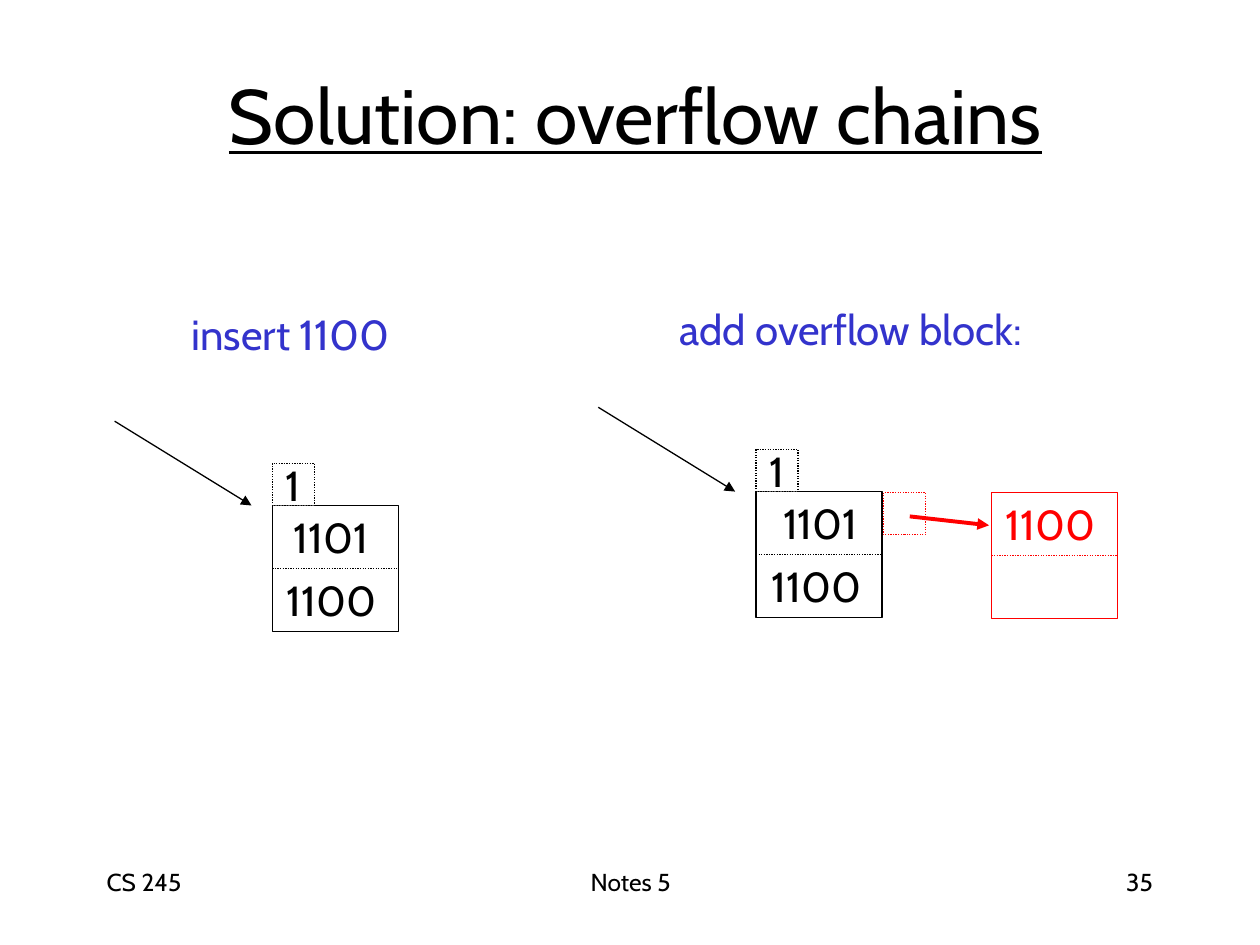
from dataclasses import dataclass

from lxml.etree import SubElement
from pptx import Presentation
from pptx.dml.color import RGBColor
from pptx.enum.dml import MSO_LINE
from pptx.enum.shapes import MSO_CONNECTOR, MSO_SHAPE
from pptx.enum.text import MSO_ANCHOR, PP_ALIGN
from pptx.oxml.ns import qn
from pptx.util import Cm, Pt


@dataclass(frozen=True)
class Theme:
    """Colours, font and sizes of the slide."""
    font: str = "Cabin"
    black: RGBColor = RGBColor(0, 0, 0)
    white: RGBColor = RGBColor(255, 255, 255)
    red: RGBColor = RGBColor(255, 0, 0)
    blue: RGBColor = RGBColor(0x33, 0x33, 0xCC)
    title: int = 44
    body: int = 24
    footer: int = 14
    thin: float = 0.75
    thick: float = 2.25


T = Theme()
BLOCK = 2.54
ROW = BLOCK / 2
TAB = 0.85


def set_attrs(obj, values):
    """Set every attribute named in a dict."""
    for name, value in values.items():
        setattr(obj, name, value)


def write(sp, text, size, color, align=PP_ALIGN.LEFT, anchor=MSO_ANCHOR.TOP,
          wrap=False, underline=False):
    """Write one formatted paragraph into a shape."""
    tf = sp.text_frame
    set_attrs(tf, {"word_wrap": wrap, "vertical_anchor": anchor})
    p = tf.paragraphs[0]
    p.alignment = align
    r = p.add_run()
    r.text = text
    set_attrs(r.font, {"name": T.font, "size": Pt(size), "underline": underline})
    r.font.color.rgb = color


def add_text(s, box, text, size, color, **layout):
    """Add a text box."""
    write(s.shapes.add_textbox(*map(Cm, box)), text, size, color, **layout)


def stroke(line, color, width, dotted=False):
    """Style an outline or a connector line."""
    line.color.rgb = color
    line.width = Pt(width)
    if dotted:
        line.dash_style = MSO_LINE.ROUND_DOT


def add_rect(shapes, box, color, dotted=False):
    """Add a white outlined rectangle."""
    sp = shapes.add_shape(MSO_SHAPE.RECTANGLE, *map(Cm, box))
    sp.shadow.inherit = False
    sp.fill.solid()
    sp.fill.fore_color.rgb = T.white
    stroke(sp.line, color, T.thin, dotted)
    return sp


def add_line(s, ends, color, width=T.thin, dotted=False, arrow=False):
    """Add a straight line, with an arrowhead at its end if asked."""
    cx = s.shapes.add_connector(MSO_CONNECTOR.STRAIGHT, *map(Cm, ends))
    stroke(cx.line, color, width, dotted)
    if arrow:
        SubElement(cx.line._get_or_add_ln(), qn("a:tailEnd"), type="triangle")
    SubElement(cx._element.spPr, qn("a:effectLst"))
    return cx


def add_block(s, x, y, rows, color, depth=None):
    """Draw a two-row block; rows are (key, text offset), depth labels its tab."""
    shapes = s.shapes.add_group_shape().shapes if depth else s.shapes
    block = add_rect(shapes, (x, y, BLOCK, BLOCK), color)
    centred = {"align": PP_ALIGN.CENTER, "anchor": MSO_ANCHOR.MIDDLE}
    if depth:
        tab = add_rect(shapes, (x, y - TAB, TAB, TAB), color, dotted=True)
        write(tab, depth, T.body, color, **centred)
    divider = add_line(s, (x, y + ROW, x + BLOCK, y + ROW), color, dotted=True)
    divider.begin_connect(block, 1)
    divider.end_connect(block, 3)
    for i, (key, dx) in enumerate(rows):
        add_text(s, (x + dx, y + i * ROW, 2.44, ROW), key, T.body, color, **centred)


def add_bucket(s, x, y, rows):
    """Draw a block of depth 1 with the pointer that leads to it."""
    add_block(s, x, y, rows, T.black, depth="1")
    add_line(s, (x - 3.18, y - 1.7, x - 0.42, y), T.black, arrow=True)


def add_overflow(s, x, y):
    """Draw the red link cell, its arrow and the overflow block."""
    add_rect(s.shapes, (x, y, TAB, TAB), T.red, dotted=True)
    add_block(s, x + 2.18, y, [("1100", -0.03)], T.red)
    add_line(s, (x + 0.53, y + 0.48, x + 2.13, y + 0.66), T.red, T.thick, arrow=True)


def add_footer(s, y):
    """Write the three footer fields on one line."""
    fields = [
        ("CS 245", 1.9, 5.28, PP_ALIGN.LEFT),
        ("Notes 5", 8.69, 8.05, PP_ALIGN.CENTER),
        ("35", 18.21, 5.28, PP_ALIGN.RIGHT),
    ]
    for text, x, w, align in fields:
        add_text(s, (x, y, w, 1.27), text, T.footer, T.black, align=align, wrap=True)


def main():
    """Build the slide and save it."""
    prs = Presentation()
    set_attrs(prs, {"slide_width": Cm(25.4), "slide_height": Cm(19.05)})
    s = prs.slides.add_slide(prs.slide_layouts[6])
    add_footer(s, 17.35)
    add_text(s, (1.65, 0.71, 22.33, 3.18), "Solution: overflow chains", T.title,
             T.black, align=PP_ALIGN.CENTER, anchor=MSO_ANCHOR.MIDDLE,
             wrap=True, underline=True)
    add_text(s, (3.61, 6.1, 4.93, 1.27), "insert 1100", T.body, T.blue)
    add_bucket(s, 5.49, 10.19, [("1101", -0.03), ("1100", -0.03)])
    add_text(s, (13.44, 5.99, 8.26, 1.27), "add overflow block:", T.body, T.blue)
    add_bucket(s, 15.24, 9.91, [("1101", 0.08), ("1100", 0)])
    add_overflow(s, 17.81, 9.93)
    prs.save("out.pptx")


if __name__ == "__main__":
    main()
